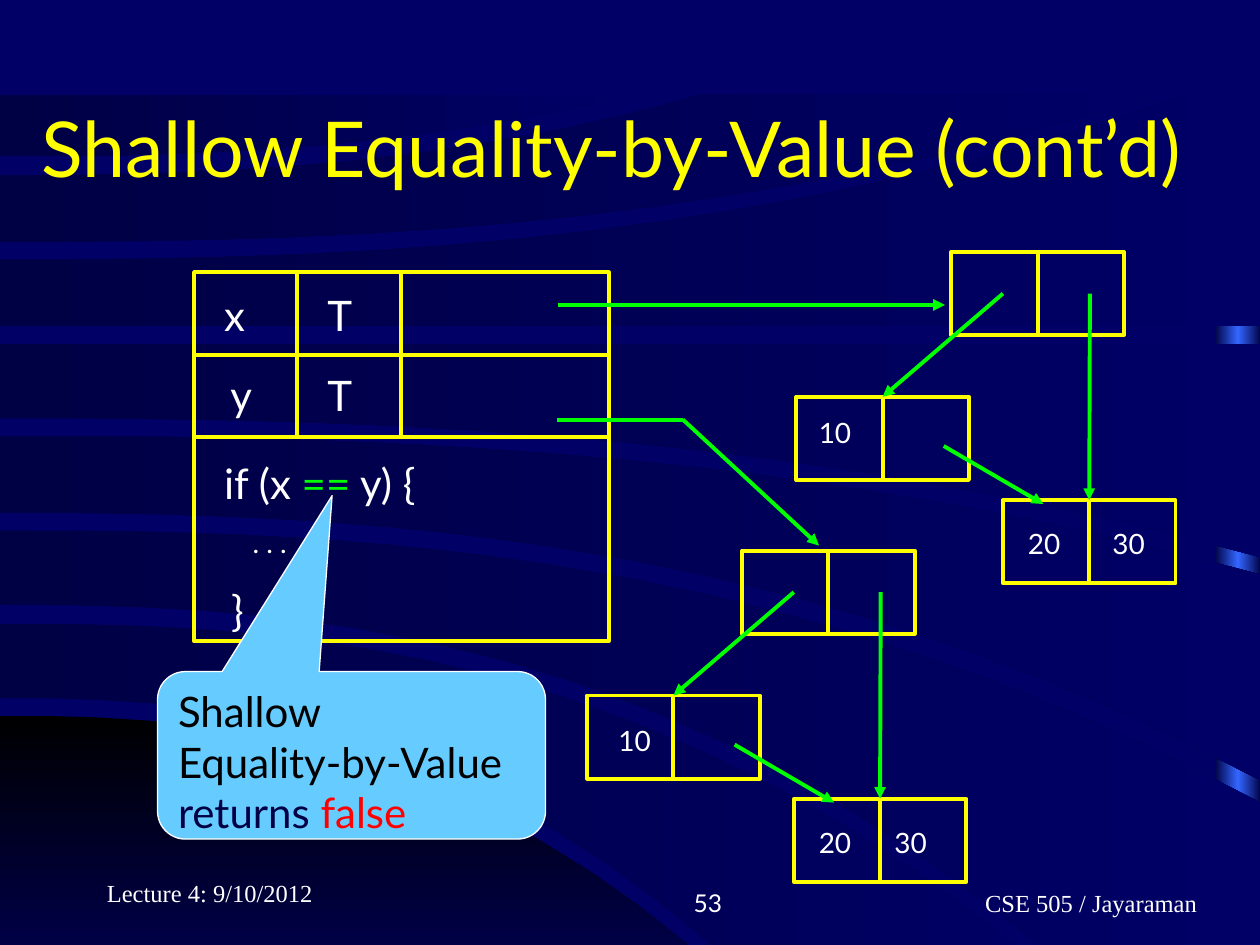
from copy import deepcopy

from lxml import etree
from pptx import Presentation
from pptx.dml.color import RGBColor
from pptx.enum.shapes import MSO_CONNECTOR, MSO_SHAPE
from pptx.enum.text import MSO_ANCHOR, MSO_AUTO_SIZE, PP_ALIGN
from pptx.oxml.ns import qn
from pptx.util import Inches, Pt

LEFT, CENTER, RIGHT = PP_ALIGN.LEFT, PP_ALIGN.CENTER, PP_ALIGN.RIGHT
TOP, BOTTOM = MSO_ANCHOR.TOP, MSO_ANCHOR.BOTTOM
RECT, CALLOUT = MSO_SHAPE.RECTANGLE, MSO_SHAPE.ROUNDED_RECTANGULAR_CALLOUT
STRAIGHT = MSO_CONNECTOR.STRAIGHT
NO_FIT = MSO_AUTO_SIZE.NONE

NAVY, DARK, BLUE, BLACK = "000066", "000044", "3366FF", "000000"
YELLOW, GREEN, WHITE, RED, SKY = "FFFF00", "00FF00", "FFFFFF", "FF0000", "66CCFF"
SERIF, SANS = "Times New Roman", "Lato"
CELL_W, CELL_H = 1.37, 0.66
BEND, STEPS = 2.5, 16

CORNER = (5.68, 6.29, 8.27), (8.27, 6.29, 8.27)
BANDS = [
    ((4.95, 8.94, 8.25), (5.54, 6.43, 8.25)),
    ((4.21, 10, 6.37), (4.8, 9.1, 8.25)),
    ((3.46, 10, 4.56), (4.07, 10, 6.19)),
    ((2.73, 10, 2.73), (3.32, 10, 4.42)),
    ((2.06, 9.44, 0.75), (2.59, 10, 2.59)),
    ((1.39, 5.57, 0.75), (1.92, 9.18, 0.75)),
    ((0.75, 5.02, 0.75), (1.24, 5.02, 0.75)),
]


def color(code):
    return RGBColor.from_string(code)


def blend(shape, first, last, angle=0):
    shape.shadow.inherit = False
    shape.line.fill.background()
    shape.fill.gradient()
    shape.fill.gradient_angle = angle
    for stop, code in zip(shape.fill.gradient_stops, (first, last)):
        stop.color.rgb = color(code)


def curve(start, right, end):
    parts = [i / STEPS for i in range(STEPS + 1)]
    return [(right * t, start + (end - start) * t ** BEND) for t in parts]


def band(slide, upper, lower, first=DARK, last=NAVY, angle=0):
    right = max(upper[1], lower[1])
    ends = [(right, lower[2]), (right, upper[2])]
    points = curve(*lower) + ends + curve(*upper)[::-1]
    start, *rest = [(Inches(x), Inches(y)) for x, y in points]
    pen = slide.shapes.build_freeform(*start)
    pen.add_line_segments(rest)
    blend(pen.convert_to_shape(), first, last, angle)


def strip(slide):
    shape = slide.shapes.add_shape(RECT, Inches(9.64), Inches(0.77), Inches(0.37), Inches(7.5))
    blend(shape, DARK, BLUE)
    stops = shape._element.spPr.find(".//" + qn("a:gsLst"))
    stops[1].set("pos", "50000")
    end = deepcopy(stops[0])
    end.set("pos", "100000")
    stops.append(end)


def box(slide, kind, x, y, w, h, fill=None, line=YELLOW, width=2.25):
    shape = slide.shapes.add_shape(kind, Inches(x), Inches(y), Inches(w), Inches(h))
    shape.shadow.inherit = False
    if fill:
        shape.fill.solid()
        shape.fill.fore_color.rgb = color(fill)
    else:
        shape.fill.background()
    shape.line.color.rgb = color(line)
    shape.line.width = Pt(width)
    return shape


def link(slide, start, end, code=YELLOW, arrow=False):
    line = slide.shapes.add_connector(STRAIGHT, *map(Inches, start + end))
    line.line.color.rgb = color(code)
    line.line.width = Pt(2.25)
    props = line._element.spPr
    if arrow:
        etree.SubElement(props.find(qn("a:ln")), qn("a:tailEnd"), type="triangle")
    etree.SubElement(props, qn("a:effectLst"))
    return line


def write(frame, *lines, size=24, font=SANS, code=WHITE, align=LEFT, anchor=TOP, gaps=()):
    frame.word_wrap = True
    frame.auto_size = NO_FIT
    frame.vertical_anchor = anchor
    for i, line in enumerate(lines):
        para = frame.add_paragraph() if i else frame.paragraphs[0]
        para.alignment = align
        if i and gaps:
            para.space_before = Pt(gaps[i - 1])
        for words, tint, points in [(line, code, size)] if isinstance(line, str) else line:
            run = para.add_run()
            run.text = words
            run.font.name = font
            run.font.size = Pt(points)
            run.font.color.rgb = color(tint)


def label(slide, x, y, w, h, *lines, **style):
    area = slide.shapes.add_textbox(Inches(x), Inches(y), Inches(w), Inches(h))
    write(area.text_frame, *lines, **style)


def pair(slide, x, y):
    shape = box(slide, RECT, x, y, CELL_W, CELL_H)
    mid = x + CELL_W / 2
    line = link(slide, (mid, y), (mid, y + CELL_H))
    line.begin_connect(shape, 0)
    line.end_connect(shape, 2)
    return shape


def tree(slide, x, y, ten, thirty):
    pair(slide, x, y)
    left = pair(slide, x - 1.23, y + 1.15)
    right = pair(slide, x + 0.41, y + 1.97)
    for dx, child in ((0.41, left), (1.1, right)):
        start = (x + dx, y + 0.33)
        link(slide, start, start, GREEN, True).end_connect(child, 0)
    link(slide, (x - 0.06, y + 1.54), (x + 0.73, y + 2), GREEN, True)
    spots = (("10", *ten), ("20", x + 0.51, y + 2.13), ("30", thirty, y + 2.13))
    for words, across, down in spots:
        label(slide, across, down, 0.68, 0.37, words, size=16)


def table(slide):
    box(slide, RECT, 1.54, 2.16, 3.29, 2.93)
    for y in (2.82, 3.47):
        link(slide, (1.54, y), (4.83, y))
    for x in (2.36, 3.18):
        link(slide, (x, 2.16), (x, 3.47))
    for words, x, y in (("x", 1.68, 2.25), ("y", 1.73, 2.88), ("T", 2.5, 2.25), ("T", 2.5, 2.88)):
        label(slide, x, y, 0.68, 0.5, words)
    label(slide, 1.68, 3.58, 2.6, 1.5,
          [("if (x ", WHITE, 24), ("==", GREEN, 24), (" y) {", WHITE, 24)],
          [("    . . .", WHITE, 16)],
          [(" ", WHITE, 16), ("}", WHITE, 24)], gaps=(10, 15))


def main():
    deck = Presentation()
    deck.slide_width, deck.slide_height = Inches(10), Inches(7.5)
    slide = deck.slides.add_slide(deck.slide_layouts[5])
    slide.background.fill.solid()
    slide.background.fill.fore_color.rgb = color(NAVY)
    strip(slide)
    band(slide, *CORNER, BLACK, NAVY, 270)
    for edges in BANDS:
        band(slide, *edges)

    title = slide.shapes.title
    slide.shapes._spTree.append(title._element)
    title.left, title.top, title.width, title.height = map(Inches, (0.23, 0.75, 9.75, 0.84))
    write(title.text_frame, "Shallow Equality-by-Value (cont’d)", size=44, code=YELLOW)

    table(slide)
    tree(slide, 7.55, 2, (6.4, 3.25), 8.73)
    tree(slide, 5.89, 4.37, (4.81, 5.69), 7)
    link(slide, (4.43, 2.42), (7.5, 2.42), GREEN, True)
    link(slide, (4.42, 3.33), (5.42, 3.33), GREEN)
    link(slide, (5.42, 3.33), (6.5, 4.33), GREEN, True)

    note = box(slide, CALLOUT, 1.25, 5.33, 3.08, 1.33, SKY, WHITE, 0.75)
    note.adjustments[0], note.adjustments[1] = -0.05, -1.55
    write(note.text_frame, "Shallow",
          [("Equality-by-Value ", BLACK, 24), ("returns", DARK, 24), (" false", RED, 24)],
          code=BLACK)

    foot = {"size": 14, "anchor": BOTTOM}
    label(slide, 0.75, 6.75, 2.08, 0.5, "Lecture 4: 9/10/2012", font=SERIF, **foot)
    label(slide, 3.75, 6.83, 2.08, 0.5, "53", align=RIGHT, **foot)
    label(slide, 7.57, 6.83, 2.18, 0.5, "CSE 505 / Jayaraman", font=SERIF, align=CENTER, **foot)
    deck.save("out.pptx")


if __name__ == "__main__":
    main()
